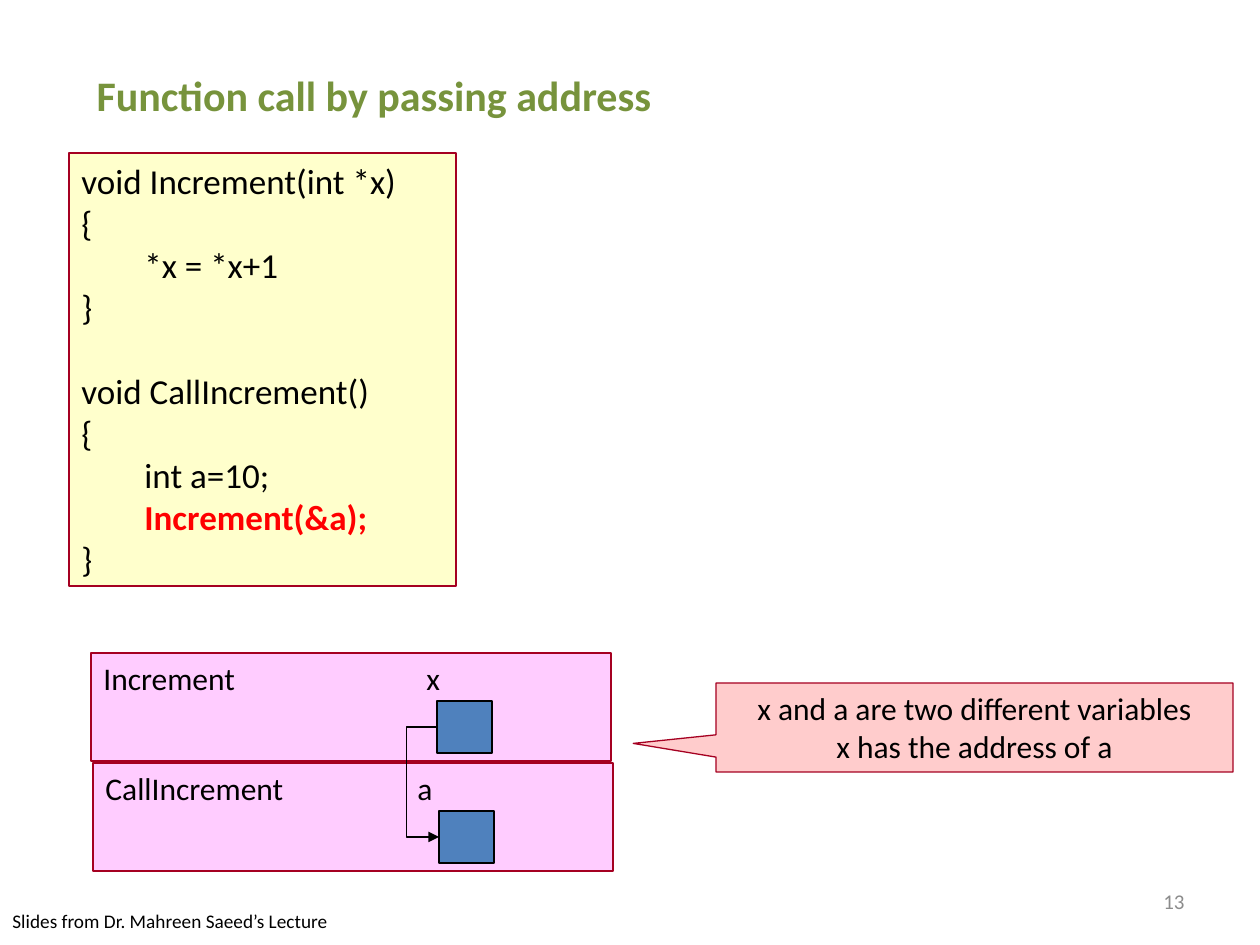
from lxml.etree import SubElement
from pptx import Presentation
from pptx.dml.color import RGBColor
from pptx.enum.shapes import MSO_CONNECTOR, MSO_SHAPE
from pptx.enum.text import MSO_ANCHOR, MSO_AUTO_SIZE, PP_ALIGN
from pptx.oxml.ns import qn
from pptx.util import Pt

PX = 914400 / 126
COLORS = {
    "black": "000000",
    "code": "FFFFCC",
    "frame": "FFCCFF",
    "callout": "FFCCCC",
    "border": "A50021",
    "cell": "4F81BD",
    "title": "77933C",
    "highlight": "FF0000",
    "number": "8C8C8C",
}
CODE = [
    "void Increment(int *x)",
    "{",
    "\t*x = *x+1",
    "}",
    "void CallIncrement()",
    "{",
    "\tint a=10;",
    "\tIncrement(&a);",
    "}",
]
FRAMES = [
    ("Increment", "x", 323, 91, 653),
    ("CallIncrement", "a", 312, 93, 763),
]


def px(length):
    """Turn pixels into EMU."""
    return round(length * PX)


def rgb(name):
    """Look up a named colour."""
    return RGBColor.from_string(COLORS[name])


def format_span(span, size, color="black", bold=False):
    """Set the font of a run."""
    span.font.name = "Calibri"
    span.font.size = Pt(size)
    span.font.bold = bold
    span.font.color.rgb = rgb(color)


def write(box, lines, size, color="black", bold=False, align=PP_ALIGN.LEFT, anchor=MSO_ANCHOR.TOP):
    """Fill a box with formatted lines of text."""
    frame = box.text_frame
    frame.text = "\n".join(lines)
    frame.word_wrap = True
    frame.auto_size = MSO_AUTO_SIZE.NONE
    frame.vertical_anchor = anchor
    for para in frame.paragraphs:
        para.alignment = align
        for span in para.runs:
            format_span(span, size, color, bold)


def add_box(shapes, kind, bounds, fill, border="border"):
    """Add a filled shape with a thin border."""
    box = shapes.add_shape(kind, *map(px, bounds))
    box.shadow.inherit = False
    box.fill.solid()
    box.fill.fore_color.rgb = rgb(fill)
    box.line.color.rgb = rgb(border)
    box.line.width = Pt(0.75)
    return box


def add_label(shapes, bounds, text, size, **style):
    """Add a plain text box."""
    box = shapes.add_textbox(*map(px, bounds))
    write(box, [text], size, **style)


def add_title(page):
    """Place and format the slide title."""
    title = page.shapes.title
    title.left, title.top, title.width, title.height = map(px, (84, 63, 586, 63))
    write(title, ["Function call by passing address"], 24, "title", True)


def add_code(page):
    """Add the code listing with its highlighted call."""
    box = add_box(page.shapes, MSO_SHAPE.RECTANGLE, (69, 153, 387, 433), "code")
    write(box, CODE, 20)
    for para in box.text_frame.paragraphs:
        if para.text == "void CallIncrement()":
            para.space_before = Pt(24)
        elif "&a" in para.text:
            format_span(para.runs[0], 20, "highlight", True)


def add_frame(shapes, function, variable, tab, left, top):
    """Add a stack frame holding one variable cell."""
    box = add_box(shapes, MSO_SHAPE.RECTANGLE, (left, top, 520, 108), "frame")
    write(box, [f"{function}\t{variable}"], 18)
    properties = box.text_frame.paragraphs[0]._p.get_or_add_pPr()
    stops = SubElement(properties, qn("a:tabLst"))
    SubElement(stops, qn("a:tab"), pos=str(px(tab)), algn="l")
    add_box(shapes, MSO_SHAPE.RECTANGLE, (left + 346, top + 48, 55, 52), "cell", "black")


def add_pointer(shapes, start, end, bend):
    """Add an elbow arrow whose upright runs at the bend position."""
    arrow = shapes.add_connector(MSO_CONNECTOR.ELBOW, *map(px, start + end))
    arrow.line.color.rgb = rgb("black")
    arrow.line.width = Pt(0.75)
    properties = arrow._element.spPr
    ratio = round((bend - start[0]) / (end[0] - start[0]) * 100000)
    adjustments = properties.find(qn("a:prstGeom")).get_or_add_avLst()
    SubElement(adjustments, qn("a:gd"), name="adj1", fmla=f"val {ratio}")
    SubElement(properties.find(qn("a:ln")), qn("a:tailEnd"), type="triangle")
    SubElement(properties, qn("a:effectLst"))


def add_stack(page):
    """Add the grouped stack frames and the pointer between them."""
    shapes = page.shapes.add_group_shape().shapes
    for frame in FRAMES:
        add_frame(shapes, *frame)
    add_pointer(shapes, (437, 727), (439, 837), 406)


def add_callout(page):
    """Add the remark that points at the stack."""
    box = add_box(page.shapes, MSO_SHAPE.RECTANGULAR_CALLOUT, (716, 683, 517, 89), "callout")
    box.adjustments[0] = -0.66
    box.adjustments[1] = 0.18
    lines = ["x and a are two different variables", "x has the address of a"]
    write(box, lines, 18, align=PP_ALIGN.CENTER)


def main():
    """Build and save the deck."""
    deck = Presentation()
    deck.slide_width, deck.slide_height = px(1260), px(945)
    page = deck.slides.add_slide(deck.slide_layouts[5])
    add_title(page)
    add_code(page)
    add_stack(page)
    add_callout(page)
    add_label(page.shapes, (903, 876, 294, 50), "13", 12, color="number",
              align=PP_ALIGN.RIGHT, anchor=MSO_ANCHOR.MIDDLE)
    add_label(page.shapes, (0, 903, 640, 36), "Slides from Dr. Mahreen Saeed’s Lecture", 11)
    deck.save("out.pptx")


if __name__ == "__main__":
    main()
